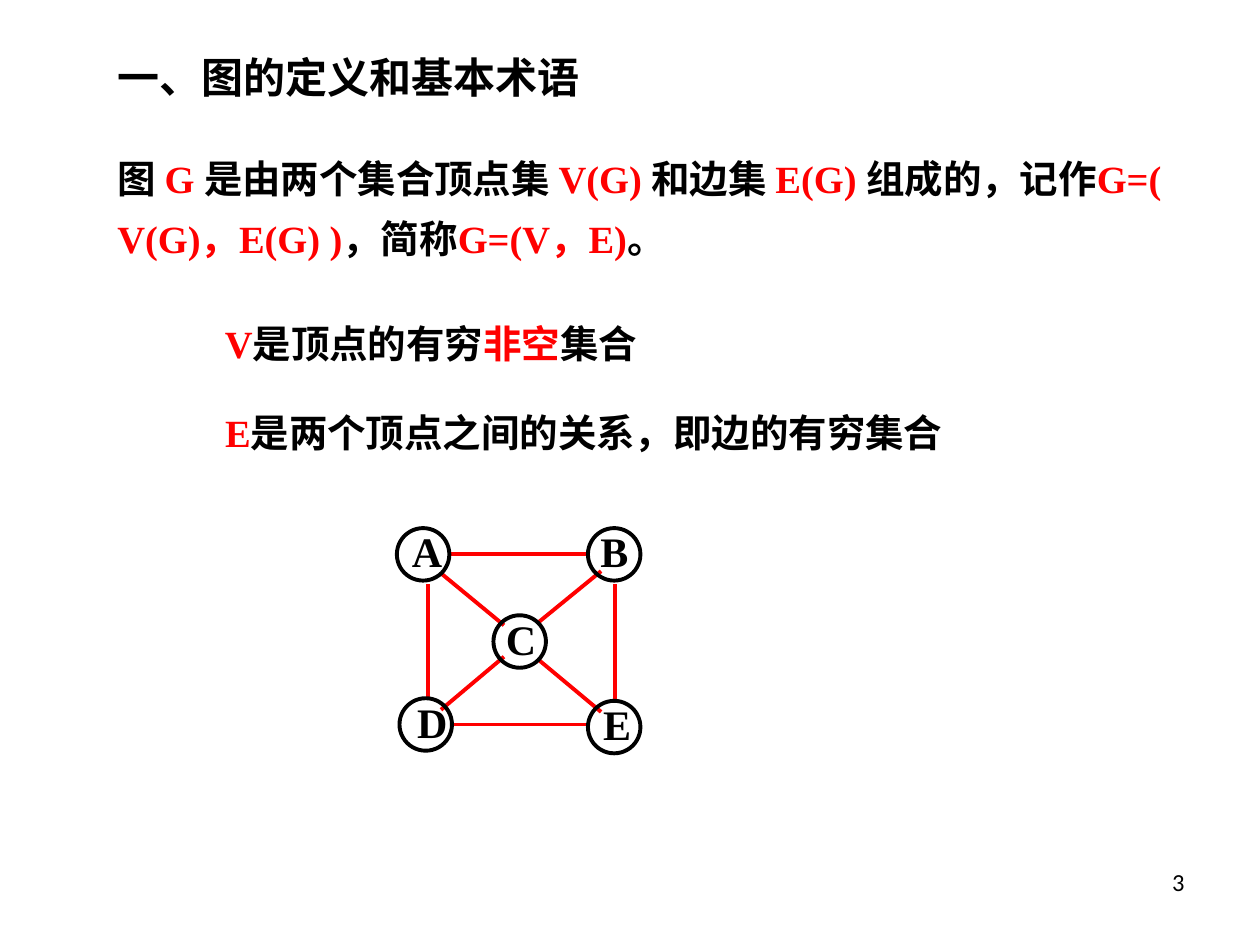
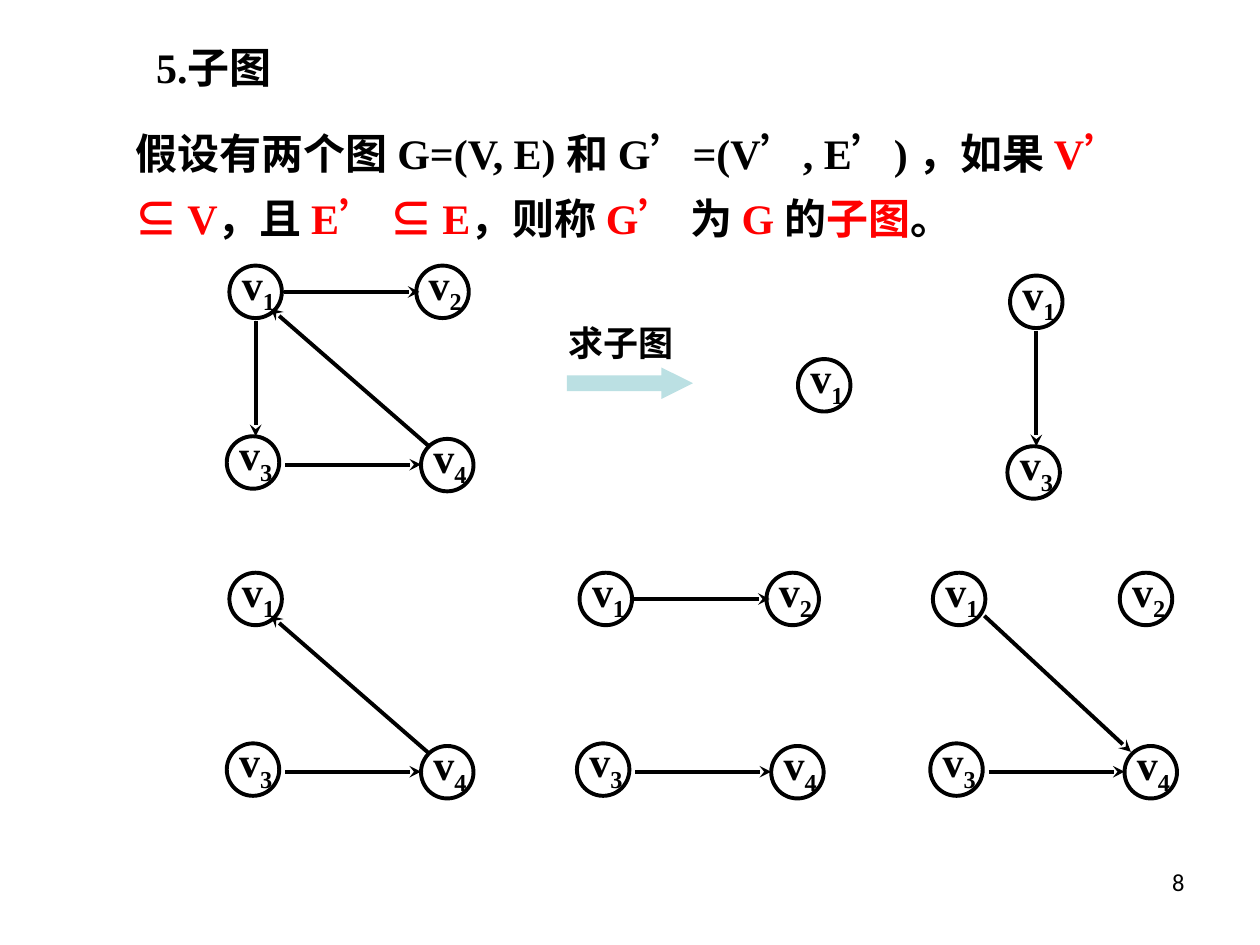
from lxml import etree
from pptx import Presentation
from pptx.dml.color import RGBColor
from pptx.enum import lang, shapes, text
from pptx.oxml.ns import qn
from pptx.util import Inches, Pt

BLACK = RGBColor(0x00, 0x00, 0x00)
RED = RGBColor(0xFF, 0x00, 0x00)
PALE_TEAL = RGBColor(0xBB, 0xE0, 0xE3)
SERIF, HAN, SANS = "Times New Roman", "Noto Sans CJK SC", "Arial"
LINE_WIDTH = Pt(2.25)

prs = Presentation()
prs.slide_width, prs.slide_height = Inches(10), Inches(7.5)
CELL = prs.slide_width / 120  # square grid: 120 columns by 90 rows
NODE = 5                      # circle diameter in cells


def cells(*values):
    return [round(v * CELL) for v in values]


def write(s, box, runs, size=24, bold=True, align=None, spacing=None):
    """Add a text box; each run is (text, colour) or (text, colour, font)."""
    tf = s.shapes.add_textbox(*cells(*box)).text_frame
    tf.word_wrap = True
    p = tf.paragraphs[0]
    p.alignment, p.line_spacing = align, spacing
    for words, color, *face in runs:
        r = p.add_run()
        r.text = words
        r.font.size, r.font.bold = Pt(size), bold
        r.font.color.rgb = color
        r.font.name = face[0] if face else SERIF
        r.font.language_id = lang.MSO_LANGUAGE_ID.SIMPLIFIED_CHINESE
        ea = etree.SubElement(r._r.get_or_add_rPr(), qn("a:ea"))
        ea.set("typeface", HAN)
    return p


# Slides with their page numbers
slides = []
for number in ("3", "8"):
    s = prs.slides.add_slide(prs.slide_layouts[6])
    write(s, (86, 82, 28, 6.25), [(number, BLACK, "Calibri")], 14, False,
          text.PP_ALIGN.RIGHT)
    slides.append(s)
definition, subgraph = slides

# Definition of a graph
write(definition, (10, 4.3, 71, 6), [("一、图的定义和基本术语", BLACK)])
write(definition, (10, 12.85, 102, 12.7), [
    ("图 ", BLACK), ("G ", RED), ("是由两个集合顶点集 ", BLACK), ("V(G) ", RED),
    ("和边集 ", BLACK), ("E(G) ", RED), ("组成的，记作", BLACK),
    ("G=( V(G)，E(G) )", RED), ("，简称", BLACK), ("G=(V，E)", RED), ("。", BLACK),
], 22, spacing=1.3)
write(definition, (20.25, 29.9, 79, 5.6), [
    ("V", RED), ("是顶点的有穷", BLACK, HAN), ("非空", RED, HAN),
    ("集合", BLACK, HAN)], 22)
write(definition, (20.25, 38.4, 81, 5.6), [
    ("E", RED), ("是两个顶点之间的关系，即边的有穷集合", BLACK, HAN)], 22)

# Definition of a subgraph
write(subgraph, (13.7, 3.4, 42, 6), [("5.子图", BLACK)])
write(subgraph, (11.75, 10.1, 99, 13.7), [
    ("假设有两个图 ", BLACK, HAN), ("G=(V, E) ", BLACK), ("和 ", BLACK, HAN),
    ("G’=(V’, E’) ", BLACK), ("，如果 ", BLACK, HAN),
    ("V’ ", RED), ("⊆ ", RED, SANS), ("V", RED), ("，且 ", BLACK, HAN),
    ("E’ ", RED), ("⊆ ", RED, SANS), ("E", RED), ("，则称 ", BLACK, HAN),
    ("G’ ", RED), ("为 ", BLACK, HAN), ("G ", RED), ("的", BLACK, HAN),
    ("子图", RED, HAN), ("。", BLACK, HAN)], spacing=1.3)

# Arrow from the graph to its subgraphs
write(subgraph, (53, 30, 15, 5.3), [("求子图", BLACK)], 20)
sp = subgraph.shapes.add_shape(shapes.MSO_SHAPE.RIGHT_ARROW, *cells(54, 35, 12, 3))
sp.adjustments[0], sp.adjustments[1] = 0.5, 1
sp.fill.solid()
sp.fill.fore_color.rgb = PALE_TEAL
sp.line.fill.background()
sp.shadow.inherit = False

# Node and edge positions, in cells from a graph's first node
letter_nodes = {"A": (0, 0), "B": (18.2, 0), "C": (9.2, 8.3),
                "D": (0.25, 16.2), "E": (18.2, 16.45)}
letter_edges = {
    "AB": (5.15, 2.5, 18.2, 2.5), "DE": (5.15, 18.7, 18.2, 18.7),
    "AD": (3, 5.3, 3, 16.3), "BE": (20.75, 5.3, 20.75, 16.3),
    "AC": (4.2, 4.3, 10.2, 9.25), "CE": (13.45, 12.5, 19.45, 17.5),
    "BC": (19.45, 4.1, 13.45, 9), "CD": (10.2, 12.25, 4.2, 17.3)}
label_shift = {"A": 0.25, "D": 0.5, "E": 0.25}
number_nodes = {"1": (0, 0), "2": (17.8, 0), "3": (-0.25, 16.25),
                "4": (18.25, 16.5)}
number_edges = {
    "12": (5.15, 2.5, 18.1, 2.5), "13": (2.5, 5.25, 2.5, 16.25),
    "34": (5.3, 18.95, 18.25, 18.95), "41": (18.95, 17.15, 3.95, 4.1),
    "14": (4.9, 4.1, 18.85, 17.05)}

# Graphs: slide, origin, nodes shown, edges shown
graphs = [
    (definition, 37.8, 50.3, "ABCDE", list(letter_edges)),
    (subgraph, 21.85, 25.3, "1234", ["12", "13", "34", "41"]),
    (subgraph, 76, 34.2, "1", []),
    (subgraph, 96.2, 26.25, "13", ["13"]),
    (subgraph, 21.85, 54.55, "134", ["34", "41"]),
    (subgraph, 55.2, 54.55, "1234", ["12", "34"]),
    (subgraph, 88.85, 54.55, "1234", ["34", "14"]),
]
for s, left, top, nodes, edges in graphs:
    directed = s is subgraph
    places = number_nodes if directed else letter_nodes
    routes = number_edges if directed else letter_edges

    for edge in edges:
        x1, y1, x2, y2 = routes[edge]
        c = s.shapes.add_connector(
            shapes.MSO_CONNECTOR.STRAIGHT,
            *cells(left + x1, top + y1, left + x2, top + y2))
        c.line.width = LINE_WIDTH
        c.line.color.rgb = BLACK if directed else RED
        if directed:
            etree.SubElement(c.line._get_or_add_ln(), qn("a:tailEnd"), type="stealth")
        etree.SubElement(c._element.spPr, qn("a:effectLst"))

    for node in nodes:
        x, y = left + places[node][0], top + places[node][1]
        sp = s.shapes.add_shape(shapes.MSO_SHAPE.OVAL, *cells(x, y, NODE, NODE))
        sp.fill.background()
        sp.line.color.rgb, sp.line.width = BLACK, LINE_WIDTH
        sp.shadow.inherit = False
        if directed:
            p = write(s, (x, y - 1.3, 9, 6.7), [("v", BLACK), (node, BLACK)])
            p.runs[1].font._element.set("baseline", "-25000")
        else:
            write(s, (x + label_shift.get(node, 0), y - 0.8, 9, 6), [(node, BLACK)])

prs.save("out.pptx")
